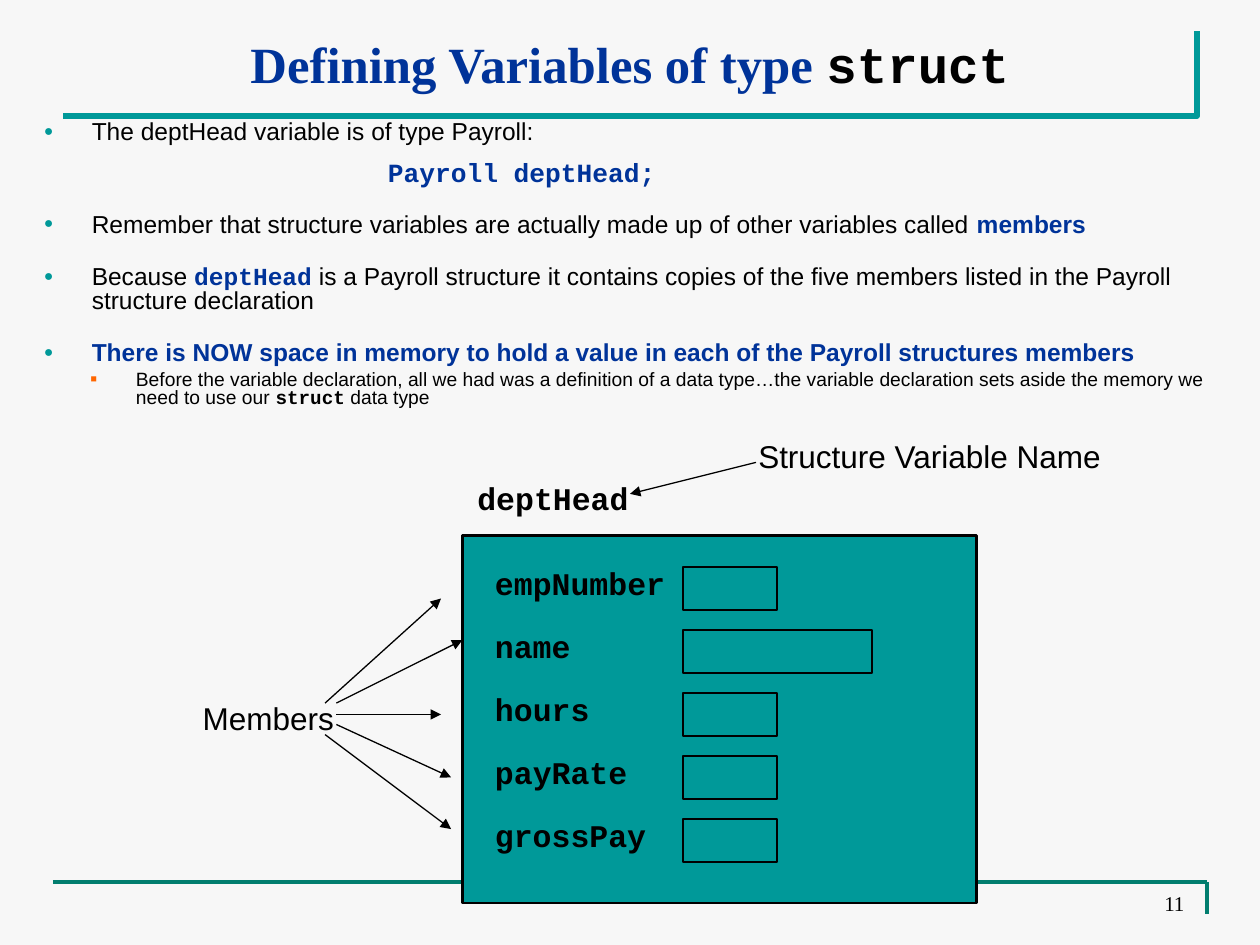
from lxml.etree import SubElement
from pptx import Presentation
from pptx.dml.color import RGBColor
from pptx.enum.shapes import MSO_CONNECTOR, MSO_SHAPE
from pptx.enum.text import MSO_ANCHOR, MSO_AUTO_SIZE, PP_ALIGN
from pptx.oxml.ns import qn
from pptx.util import Inches, Pt

TEAL, DARK_TEAL, BLUE, BLACK, ORANGE = "009999", "027E6F", "003399", "000000", "FF6600"
SANS, MONO, SERIF = "Arial", "Courier New", "Times New Roman"

# Content: runs are (text, size, font, colour, bold)
TITLE = [("Defining Variables of type ", 29, SERIF, BLUE, True),
         ("struct", 29, MONO, BLACK, True)]


def plain(text, size=14):
    return text, size, SANS, BLACK, False


def strong(text, font=SANS, size=14, color=BLUE):
    return text, size, font, color, True


# Paragraph styles: left margin, first-line indent, bullet (symbol, colour, percent)
STYLES = {
    "point": (0.38, -0.38, ("●", TEAL, 65)),
    "code": (2.73, 0, None),
    "detail": (0.73, -0.36, ("■", ORANGE, 55)),
}
# Body paragraphs: style, space before, runs
BODY = [
    ("point", 0, [plain("The deptHead variable is of type Payroll:")]),
    ("code", 9.5, [strong("Payroll deptHead;", MONO, 15)]),
    ("point", 15.5, [plain("Remember that structure variables are actually made up of "
                           "other variables called "), strong("members")]),
    ("point", 16.5, [plain("Because "), strong("deptHead", MONO),
                     plain(" is a Payroll structure it contains copies of the five members "
                           "listed in the Payroll structure declaration")]),
    ("point", 16.5, [strong("There is NOW space in memory to hold a value in each of the "
                            "Payroll structures members")]),
    ("detail", 3, [plain("Before the variable declaration, all we had was a definition of a "
                         "data type…the variable declaration sets aside the memory we need "
                         "to use our ", 11),
                   strong("struct", MONO, 11, BLACK), plain(" data type", 11)]),
]
# Members of the structure: name, width of its value box
MEMBERS = [("empNumber", 0.75), ("name", 1.5), ("hours", 0.75),
           ("payRate", 0.75), ("grossPay", 0.75)]
ARROWS = [
    ((2.58, 5.58), (3.5, 4.75)),
    ((2.67, 5.58), (3.67, 5.08)),
    ((2.67, 5.67), (3.5, 5.67)),
    ((2.67, 5.75), (3.58, 6.17)),
    ((2.58, 5.83), (3.58, 6.58)),
    ((6, 3.67), (5, 3.92)),
]
TITLE_RULE = [(9.5, 0.25), (9.5, 0.92), (0.5, 0.92)]
FOOTER_RULES = [((0.42, 7), (9.58, 7)), ((9.58, 7), (9.58, 7.25))]

prs = Presentation()
prs.slide_width, prs.slide_height = Inches(10), Inches(7.5)
s = prs.slides.add_slide(prs.slide_layouts[6])


def rgb(value):
    return RGBColor.from_string(value)


s.background.fill.solid()
s.background.fill.fore_color.rgb = rgb("F7F7F7")


def add_runs(p, runs):
    for text, size, font, color, bold in runs:
        r = p.add_run()
        r.text = text
        for name, value in {"size": Pt(size), "name": font, "bold": bold}.items():
            setattr(r.font, name, value)
        r.font.color.rgb = rgb(color)


def add_text(box, runs=(), wrap=True, anchor=MSO_ANCHOR.TOP, align=PP_ALIGN.LEFT):
    tf = s.shapes.add_textbox(*map(Inches, box)).text_frame
    tf.word_wrap, tf.vertical_anchor = wrap, anchor
    tf.auto_size = MSO_AUTO_SIZE.NONE if wrap else MSO_AUTO_SIZE.SHAPE_TO_FIT_TEXT
    tf.paragraphs[0].alignment = align
    add_runs(tf.paragraphs[0], runs)
    return tf


def add_label(x, y, text, font=MONO, width=None):
    width = width or 0.2 + 0.15 * len(text)  # monospaced letters are 0.15 wide
    add_text((x, y, width, 0.4), [(text, 18, font, BLACK, font == MONO)], wrap=False)


def add_rect(*box):
    sp = s.shapes.add_shape(MSO_SHAPE.RECTANGLE, *map(Inches, box))
    sp.shadow.inherit = False
    sp.fill.solid()
    sp.fill.fore_color.rgb = rgb(TEAL)
    sp.line.color.rgb, sp.line.width = rgb(BLACK), Pt(1.25)


def add_line(start, end, color, width, arrow=False):
    c = s.shapes.add_connector(MSO_CONNECTOR.STRAIGHT, *map(Inches, start + end))
    c.line.color.rgb, c.line.width = rgb(color), Pt(width)
    if arrow:
        SubElement(c.line._get_or_add_ln(), qn("a:tailEnd"), type="triangle")
    SubElement(c._element.spPr, qn("a:effectLst"))


def format_paragraph(p, style, before):
    margin, indent, bullet = STYLES[style]
    p.line_spacing, p.space_before = 0.8, Pt(before)
    pPr = p._p.get_or_add_pPr()
    pPr.set("marL", str(Inches(margin)))
    pPr.set("indent", str(Inches(indent)))
    if bullet:
        symbol, color, percent = bullet
        SubElement(SubElement(pPr, qn("a:buClr")), qn("a:srgbClr"), val=color)
        SubElement(pPr, qn("a:buSzPct"), val=str(percent * 1000))
        SubElement(pPr, qn("a:buFont"), typeface=SANS)
        SubElement(pPr, qn("a:buChar"), char=symbol)


# Rules under the title and above the footer
corner, *rest = [tuple(map(Inches, point)) for point in TITLE_RULE]
builder = s.shapes.build_freeform(*corner)
builder.add_line_segments(rest, close=False)
rule = builder.convert_to_shape()
rule.shadow.inherit = False
rule.fill.background()
rule.line.color.rgb, rule.line.width = rgb(TEAL), Pt(3.5)
for start, end in FOOTER_RULES:
    add_line(start, end, DARK_TEAL, 2.25)

# Title and body
add_text((0.5, 0.17, 9, 0.67), TITLE, anchor=MSO_ANCHOR.MIDDLE, align=PP_ALIGN.CENTER)
tf = add_text((0.25, 0.92, 9.58, 2.58))
for i, (style, before, runs) in enumerate(BODY):
    p = tf.add_paragraph() if i else tf.paragraphs[0]
    format_paragraph(p, style, before)
    add_runs(p, runs)

# Structure diagram
add_rect(3.67, 4.25, 4.08, 2.92)
add_label(3.69, 3.75, "deptHead")
for i, (name, width) in enumerate(MEMBERS):
    add_label(3.83, 4.43 + 0.5 * i, name)
    add_rect(5.42, 4.5 + 0.5 * i, width, 0.34)

# Callouts
for start, end in ARROWS:
    add_line(start, end, BLACK, 0.75, arrow=True)
add_label(1.51, 5.5, "Members", SANS, 1.24)
add_label(5.92, 3.42, "Structure Variable Name", SANS, 2.94)

# Slide number
add_text((7.17, 7.08, 2.33, 0.24), [("11", 12, SERIF, BLACK, False)],
         anchor=MSO_ANCHOR.BOTTOM, align=PP_ALIGN.RIGHT)

prs.save("out.pptx")
